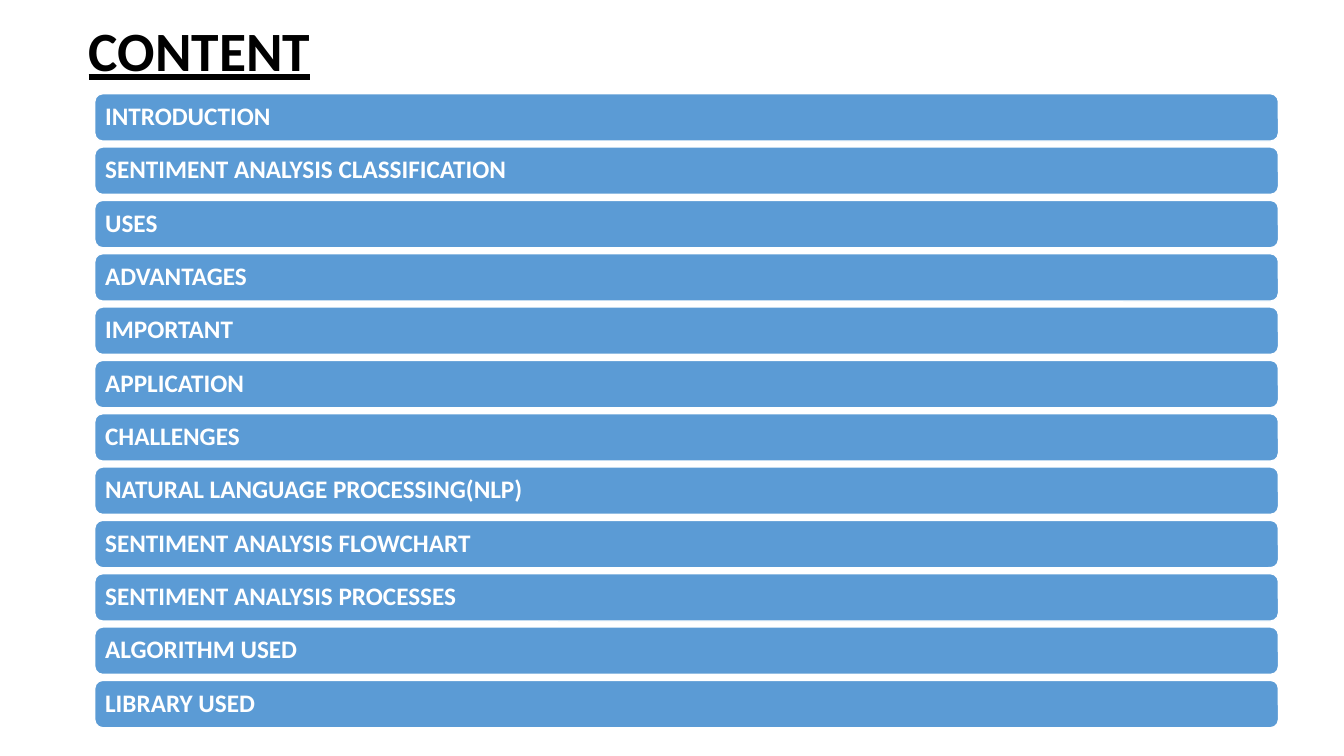
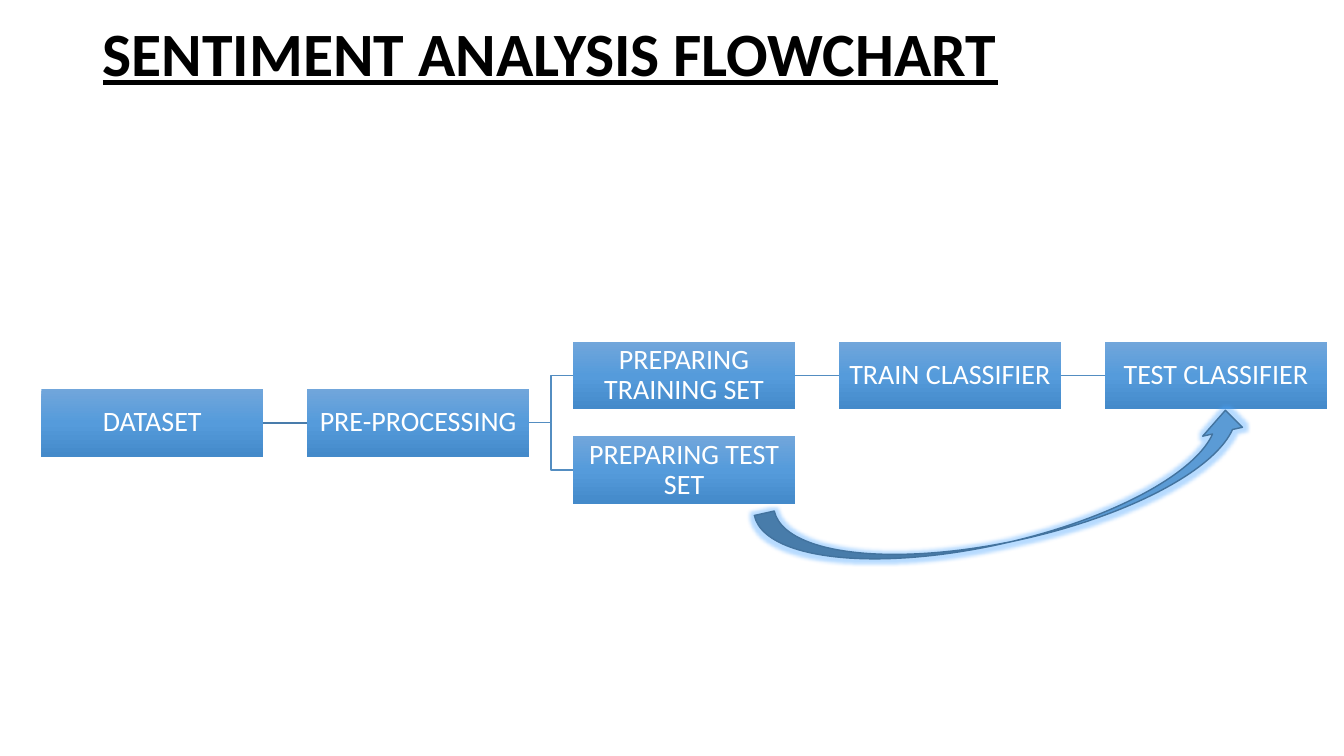
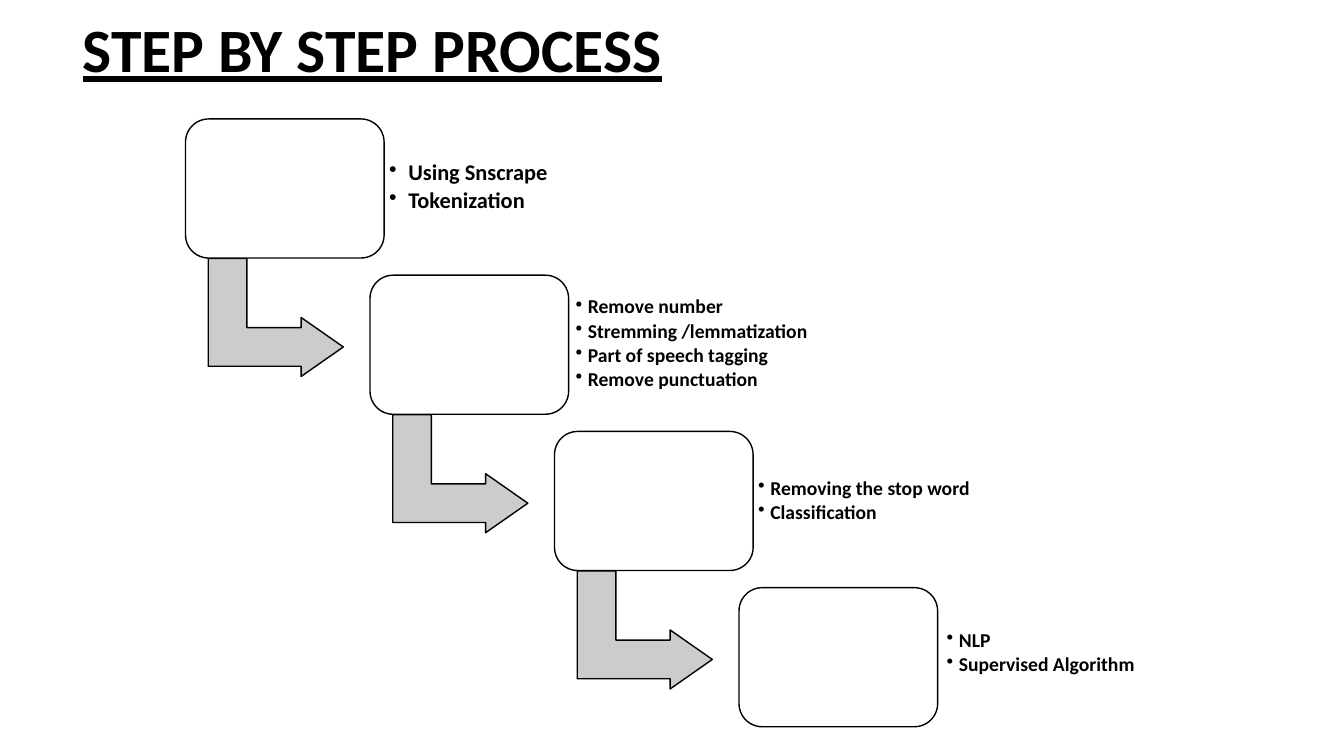
from copy import deepcopy

from lxml import etree
from pptx import Presentation
from pptx import util as u
from pptx.dml.color import RGBColor
from pptx.enum import shapes, text
from pptx.oxml.ns import qn

FONT = "Calibri"
BLACK, WHITE, GREY, BLUE = "000000", "FFFFFF", "CCCCCC", "5B9BD5"
BOX_GRADIENT = ((0, "71A6DB"), (0.5, "559BDB"), (1, "448ACA"))
FIRST_LINK, LINK, ARROW_LINE, GLOW = "497CAB", "538DC1", "43739E", "4BA5FF"

CONTENTS = (
    "INTRODUCTION", "SENTIMENT ANALYSIS CLASSIFICATION", "USES", "ADVANTAGES",
    "IMPORTANT", "APPLICATION", "CHALLENGES", "NATURAL LANGUAGE PROCESSING(NLP)",
    "SENTIMENT ANALYSIS FLOWCHART", "SENTIMENT ANALYSIS PROCESSES",
    "ALGORITHM USED", "LIBRARY USED",
)
# Name, column and row offset of each flowchart box
FLOW_BOXES = (
    ("DATASET", 0, 0.47), ("PRE-PROCESSING", 1, 0.47),
    ("PREPARING TRAINING SET", 2, 0), ("TRAIN CLASSIFIER", 3, 0),
    ("TEST CLASSIFIER", 4, 0), ("PREPARING TEST SET", 2, 0.94),
)
FLOW_LINKS = ((0, 1), (1, 2), (1, 5), (2, 3), (3, 4))
# Notes, text size, hanging indent and offset of the notes from their box
STEPS = (
    (("Using Snscrape", "Tokenization"), 16, 0.19, (1.96, 0.12)),
    (("Remove number", "Stremming /lemmatization", "Part of speech tagging",
      "Remove punctuation"), 14, 0.12, (1.98, 0.12)),
    (("Removing the stop word", "Classification"), 14, 0.12, (1.96, 0.13)),
    (("NLP", "Supervised Algorithm"), 14, 0.12, (2, 0.09)),
)


def color(value):
    return RGBColor.from_string(value)


def inches(*lengths):
    return [u.Inches(length) for length in lengths]


def write_text(frame, lines, size=18, ink=BLACK, bold=False, underline=False,
               align="LEFT", anchor="MIDDLE", margins=(0.1, 0.05),
               spacing=0.9, after=0, bullet_indent=None):
    """Fill a text frame with one paragraph per line."""
    frame.word_wrap = True
    frame.auto_size = text.MSO_AUTO_SIZE.NONE
    frame.vertical_anchor = getattr(text.MSO_ANCHOR, anchor)
    frame.margin_left = frame.margin_right = u.Inches(margins[0])
    frame.margin_top = frame.margin_bottom = u.Inches(margins[1])
    for index, line in enumerate(lines):
        paragraph = frame.add_paragraph() if index else frame.paragraphs[0]
        paragraph.alignment = getattr(text.PP_ALIGN, align)
        paragraph.line_spacing = spacing
        paragraph.space_before = u.Pt(0)
        paragraph.space_after = u.Pt(after)
        run = paragraph.add_run()
        run.text = line
        run.font.name, run.font.size = FONT, u.Pt(size)
        run.font.bold, run.font.underline = bold, underline
        run.font.color.rgb = color(ink)
        if bullet_indent:
            properties = paragraph._p.get_or_add_pPr()
            properties.set("marL", str(u.Inches(bullet_indent)))
            properties.set("indent", str(-u.Inches(bullet_indent)))
            etree.SubElement(properties, qn("a:buChar")).set("char", "•")


def add_box(slide, kind, box, fill=None, line=None):
    shape = slide.shapes.add_shape(getattr(shapes.MSO_SHAPE, kind), *inches(*box))
    shape.shadow.inherit = False
    if fill:
        shape.fill.solid()
        shape.fill.fore_color.rgb = color(fill)
    if line:
        shape.line.color.rgb = color(line)
        shape.line.width = u.Pt(1)
    else:
        shape.line.fill.background()
    return shape


def add_titled_slide(presentation, title, box, size=44, **style):
    slide = presentation.slides.add_slide(presentation.slide_layouts[5])
    holder = slide.shapes.title
    holder.left, holder.top, holder.width, holder.height = inches(*box)
    write_text(holder.text_frame, [title], size=size, bold=True, underline=True, **style)
    return slide


def fill_gradient(shape, stops):
    """Vertical gradient; the two preset stops grow to the number needed."""
    shape.fill.gradient()
    shape.fill.gradient_angle = 270
    stop_list = shape._element.spPr.find(".//" + qn("a:gsLst"))
    while len(stop_list) < len(stops):
        stop_list.append(deepcopy(stop_list[0]))
    for stop, (position, value) in zip(shape.fill.gradient_stops, stops):
        stop.position = position
        stop.color.rgb = color(value)


def add_glow(shape, value, radius, opacity):
    effects = shape._element.spPr.find(qn("a:effectLst"))
    glow = etree.SubElement(effects, qn("a:glow"), rad=str(u.Pt(radius)))
    tint = etree.SubElement(glow, qn("a:srgbClr"), val=value)
    etree.SubElement(tint, qn("a:alpha"), val=str(opacity * 1000))


def link(slide, start, end, value):
    """Join the right side of one box to the left side of another."""
    kind = "STRAIGHT" if start.top == end.top else "ELBOW"
    connector = slide.shapes.add_connector(getattr(shapes.MSO_CONNECTOR, kind), 0, 0, 0, 0)
    connector.begin_connect(start, 3)
    connector.end_connect(end, 1)
    connector.line.color.rgb = color(value)
    connector.line.width = u.Pt(1)
    etree.SubElement(connector._element.spPr, qn("a:effectLst"))


def draw_contents(slide, left, top, width, height):
    bar_height = 0.47
    pitch = (height - bar_height) / (len(CONTENTS) - 1)
    for index, entry in enumerate(CONTENTS):
        bar = add_box(slide, "ROUNDED_RECTANGLE",
                      (left, top + index * pitch, width, bar_height), BLUE, WHITE)
        write_text(bar.text_frame, [entry], ink=WHITE, bold=True, margins=(0.08, 0.07))


def draw_flowchart(slide, left, top, width):
    box_width, box_height = 2.2, 0.67
    pitch = (width - box_width) / 4
    boxes = []
    for name, column, offset in FLOW_BOXES:
        box = add_box(slide, "RECTANGLE",
                      (left + column * pitch, top + offset, box_width, box_height))
        fill_gradient(box, BOX_GRADIENT)
        write_text(box.text_frame, [name], size=20, ink=WHITE, align="CENTER",
                   margins=(0.01, 0.01))
        boxes.append(box)
    for start, end in FLOW_LINKS:
        link(slide, boxes[start], boxes[end], LINK if start else FIRST_LINK)
    # Curved arrow from the test set to the test classifier
    arrow = add_box(slide, "CURVED_UP_ARROW", (left + 7.1, top + 1.17, 4.99, 0.81),
                    BLUE, ARROW_LINE)
    arrow.rotation = 347.4
    add_glow(arrow, GLOW, radius=5, opacity=40)


def draw_steps(slide, left, top, step_x=1.83, step_y=1.55):
    for index, (notes, size, indent, (shift_x, shift_y)) in enumerate(STEPS):
        x, y = left + index * step_x, top + index * step_y
        # Arrow down to the next step
        if index < len(STEPS) - 1:
            arrow = add_box(slide, "BENT_UP_ARROW", (x + 0.31, y + 1.3, 1.17, 1.34),
                            GREY, BLACK)
            arrow.rotation = 90
            for number, value in enumerate((0.328, 0.25, 0.358)):
                arrow.adjustments[number] = value
        add_box(slide, "ROUNDED_RECTANGLE", (x, y, 1.97, 1.38), WHITE, BLACK)
        # Notes beside the step
        note_box = slide.shapes.add_textbox(*inches(x + shift_x, y + shift_y, 2.55, 1.12))
        write_text(note_box.text_frame, notes, size=size, bold=True, margins=(0.06, 0.06),
                   after=0.15 * size, bullet_indent=indent)


def main():
    presentation = Presentation()
    presentation.slide_width, presentation.slide_height = inches(13.33, 7.5)

    slide = add_titled_slide(presentation, "CONTENT", (0.78, 0.24, 3.84, 0.58), size=39.6)
    draw_contents(slide, 0.94, 0.93, 11.74, 6.29)

    slide = add_titled_slide(presentation, "SENTIMENT ANALYSIS FLOWCHART", (0.92, 0, 11.5, 1.12))
    draw_flowchart(slide, 0.41, 3.39, 12.75)

    slide = add_titled_slide(presentation, "STEP BY STEP PROCESS", (0.72, 0.06, 10.82, 0.84),
                             anchor="TOP", spacing=1.0)
    draw_steps(slide, 1.84, 1.18)

    presentation.save("out.pptx")


if __name__ == "__main__":
    main()
